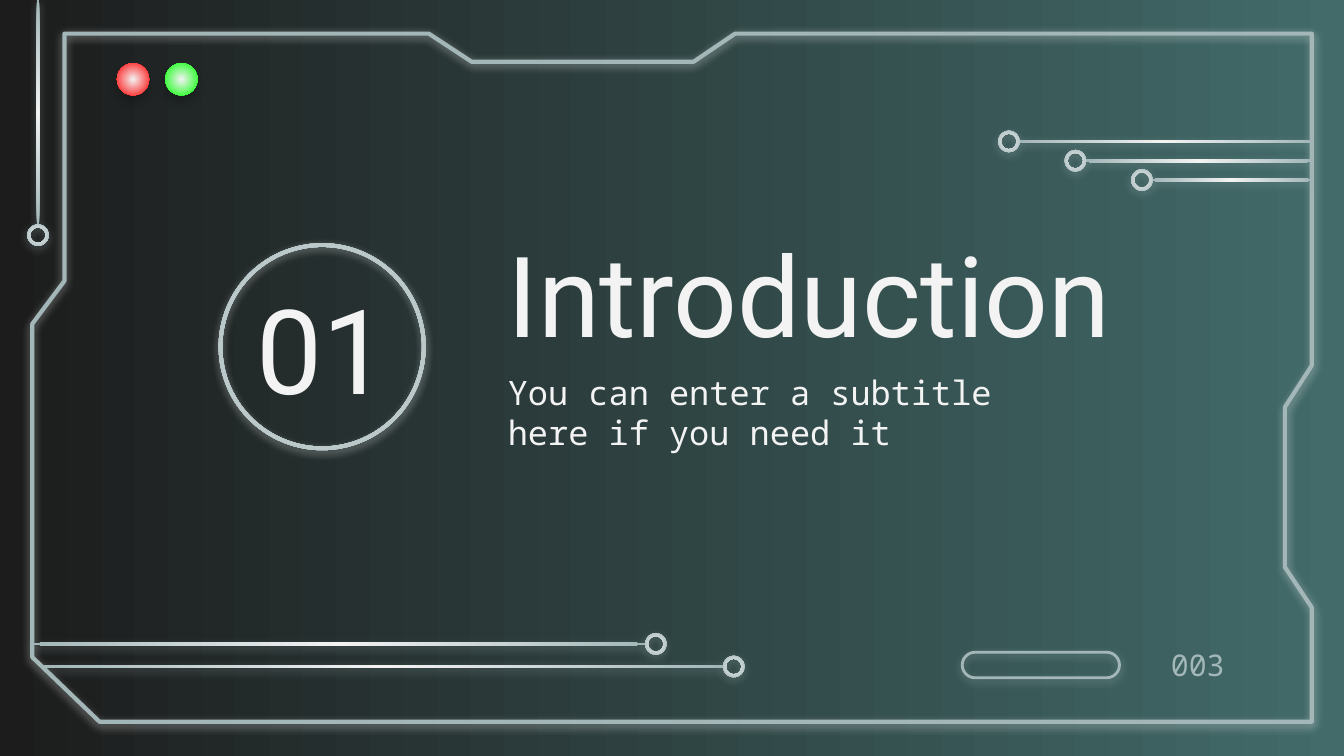
from lxml import etree
from pptx import Presentation
from pptx.dml.color import RGBColor
from pptx.enum.shapes import MSO_SHAPE
from pptx.enum.text import MSO_ANCHOR, PP_ALIGN
from pptx.oxml.ns import qn
from pptx.util import Inches, Pt

CELL = Inches(0.1)
COLUMNS, ROWS = 100, 56.25
NODE_SIZE, TRACE_WIDTH = 1.6, 0.2

DARK = RGBColor(0x1C, 0x1C, 0x1C)
TEAL = RGBColor(0x42, 0x6B, 0x6A)
MIST = RGBColor(0xA3, 0xB7, 0xB9)
WHITE = RGBColor(0xF3, 0xF3, 0xF3)
RED = RGBColor(0xFF, 0x00, 0x00)
GREEN = RGBColor(0x00, 0xFF, 0x00)
BLACK = RGBColor(0x00, 0x00, 0x00)

FRAME_BOX = (2.4, 2.5, 95.2, 51.2)
FRAME_CORNERS = [
    (95.2, 0), (52.3, 0), (49.2, 2.1), (32.7, 2.1), (29.5, 0),
    (2.4, 0), (2.4, 18.4), (0, 21.6), (0, 46.4), (5, 51.2),
    (95.2, 51.2), (95.2, 42.7), (93.2, 39.7), (93.2, 27.8), (95.2, 24.7),
]


def cells(*values):
    return [round(value * CELL) for value in values]


def set_gradient(fill, first, last):
    fill.gradient()
    for stop, color in zip(fill.gradient_stops, (first, last)):
        stop.color.rgb = color


def add_glow(shape, color, opacity=50, distance=1.5):
    shape.shadow.inherit = False
    effects = shape._element.spPr.find(qn("a:effectLst"))
    shadow = etree.SubElement(
        effects, qn("a:outerShdw"), blurRad=str(Pt(4.5)), dist=str(Pt(distance)),
        dir="5400000", algn="bl", rotWithShape="0")
    tint = etree.SubElement(shadow, qn("a:srgbClr"), val=str(color))
    etree.SubElement(tint, qn("a:alpha"), val=str(opacity * 1000))


def add_radial_shape(slide, kind, box, edge=MIST):
    shape = slide.shapes.add_shape(kind, *cells(*box))
    set_gradient(shape.fill, WHITE, edge)
    gradient = shape._element.spPr.find(qn("a:gradFill"))
    gradient.remove(gradient.find(qn("a:lin")))
    radial = etree.SubElement(gradient, qn("a:path"))
    radial.set("path", "circle")
    etree.SubElement(radial, qn("a:fillToRect"), l="50000", t="50000", r="50000", b="50000")
    shape.line.fill.background()
    return shape


def add_text(slide, box, text, font_name, size, color=WHITE,
             align=PP_ALIGN.LEFT, anchor=MSO_ANCHOR.MIDDLE):
    text_frame = slide.shapes.add_textbox(*cells(*box)).text_frame
    text_frame.word_wrap = True
    text_frame.vertical_anchor = anchor
    text_frame.margin_left = text_frame.margin_right = CELL
    text_frame.margin_top = text_frame.margin_bottom = CELL
    text_frame.text = text
    paragraph = text_frame.paragraphs[0]
    paragraph.alignment = align
    font = paragraph.runs[0].font
    font.name, font.size, font.color.rgb = font_name, Pt(size), color


def draw_frame(slide, box):
    left, top, width, height = box
    points = [cells(left + x, top + y) for x, y in FRAME_CORNERS]
    builder = slide.shapes.build_freeform(*points[0])
    builder.add_line_segments(points[1:], close=True)
    frame = builder.convert_to_shape()
    frame.fill.background()
    frame.line.color.rgb = MIST
    frame.line.width = Pt(2.25)
    add_glow(frame, WHITE)


def draw_trace(slide, box, node_side):
    left, top, width, height = box
    center_x, center_y = {
        "left": (left - NODE_SIZE / 2, top + height / 2),
        "right": (left + width + NODE_SIZE / 2, top + height / 2),
        "bottom": (left + width / 2, top + height + NODE_SIZE / 2),
    }[node_side]
    line = add_radial_shape(slide, MSO_SHAPE.RECTANGLE, box)
    node_box = (center_x - NODE_SIZE / 2, center_y - NODE_SIZE / 2, NODE_SIZE, NODE_SIZE)
    node = add_radial_shape(slide, MSO_SHAPE.DONUT, node_box)
    node.adjustments[0] = 0.14
    for part in (line, node):
        add_glow(part, MIST)


def draw_stepped_traces(slide, box, count=3):
    left, top, width, height = box
    for index in range(count):
        start = left + index * 4.95
        draw_trace(slide, (start, top + index * height / count,
                           left + width - start, TRACE_WIDTH), "left")


def draw_badge(slide, box):
    left, top, width, height = box
    add_text(slide, (left, top + 1.95, width, height * 0.75), "01", "Roboto", 63,
             align=PP_ALIGN.CENTER)
    ring = add_radial_shape(slide, MSO_SHAPE.DONUT, box)
    ring.adjustments[0] = 0.018
    add_glow(ring, WHITE)


def draw_heading(slide, box):
    left, top, width, height = box
    title_height = 9.7
    add_text(slide, (left, top, width, title_height), "Introduction", "Roboto", 60)
    add_text(slide, (left, top + title_height, width * 0.7, height - title_height),
             "You can enter a subtitle here if you need it", "Noto Sans Mono", 18,
             anchor=MSO_ANCHOR.TOP)


def draw_lights(slide, box):
    left, top, width, height = box
    for light_left, color in ((left, RED), (left + width - height, GREEN)):
        light = add_radial_shape(
            slide, MSO_SHAPE.OVAL, (light_left, top, height, height), color)
        add_glow(light, BLACK, opacity=20, distance=3.8)


def draw_footer(slide, box):
    left, top, width, height = box
    pill = slide.shapes.add_shape(
        MSO_SHAPE.ROUNDED_RECTANGLE, *cells(left, top, 11.7, height))
    pill.adjustments[0] = 0.5
    pill.fill.background()
    pill.line.color.rgb = MIST
    pill.line.width = Pt(1.5)
    add_glow(pill, MIST)
    add_text(slide, (left + width - 6, top, 6, height), "003", "Noto Sans Mono", 16,
             MIST, PP_ALIGN.RIGHT)


def main():
    presentation = Presentation()
    presentation.slide_width, presentation.slide_height = cells(COLUMNS, ROWS)
    slide = presentation.slides.add_slide(presentation.slide_layouts[6])
    set_gradient(slide.background.fill, DARK, TEAL)
    slide.background.fill.gradient_angle = 0
    draw_frame(slide, FRAME_BOX)
    draw_trace(slide, (2.73, 0, TRACE_WIDTH, 16.7), "bottom")
    draw_heading(slide, (36.8, 16.97, 59.5, 16.7))
    draw_badge(slide, (16.27, 18.1, 15.4, 15.4))
    draw_stepped_traces(slide, (75.87, 10.43, 21.63, 4.3))
    draw_trace(slide, (3.2, 49.5, 50.6, TRACE_WIDTH), "right")
    draw_trace(slide, (2.4, 47.82, 45.6, TRACE_WIDTH), "right")
    draw_lights(slide, (8.7, 4.7, 6, 2.4))
    draw_footer(slide, (71.6, 48.53, 20.5, 1.9))
    presentation.save("out.pptx")


if __name__ == "__main__":
    main()
